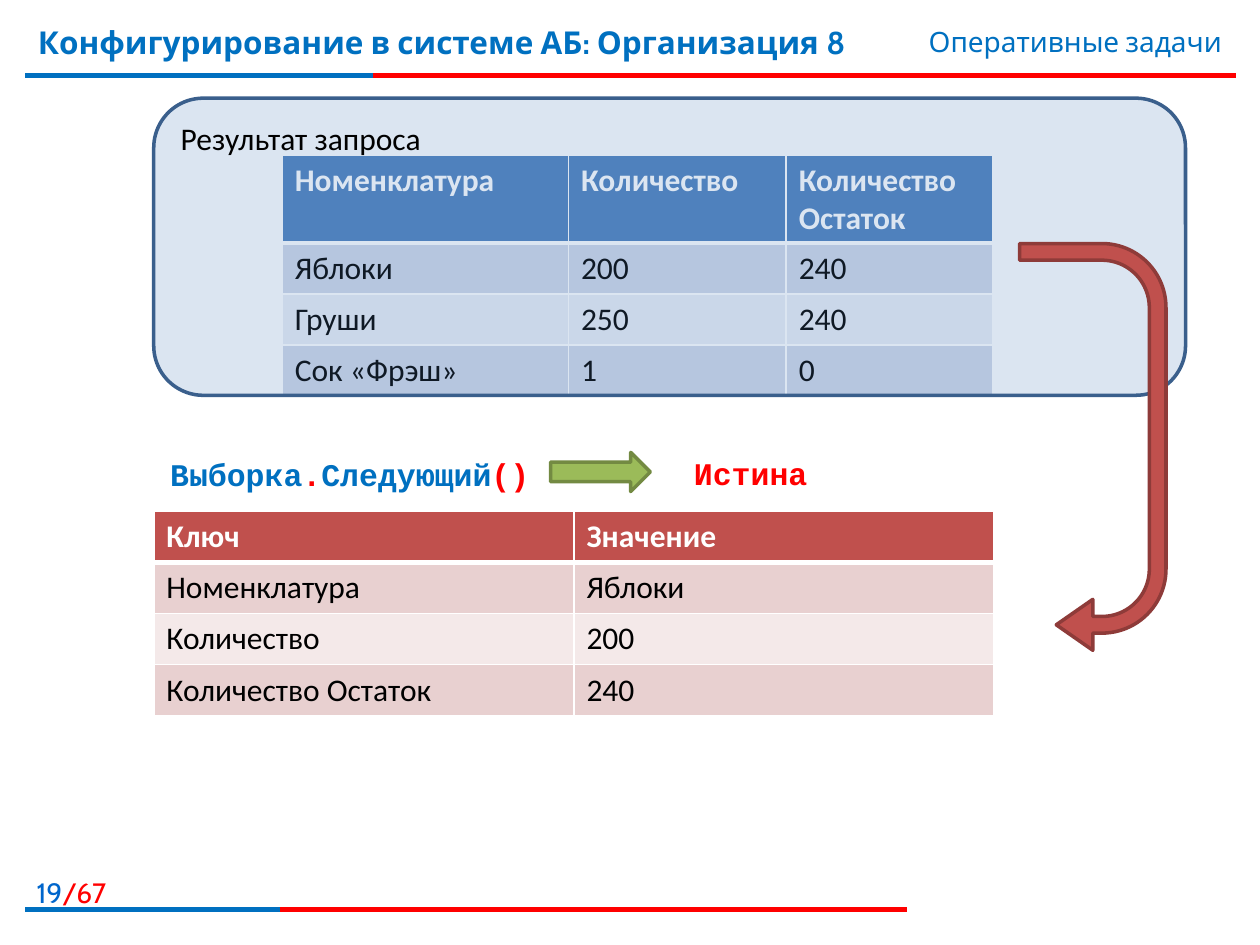
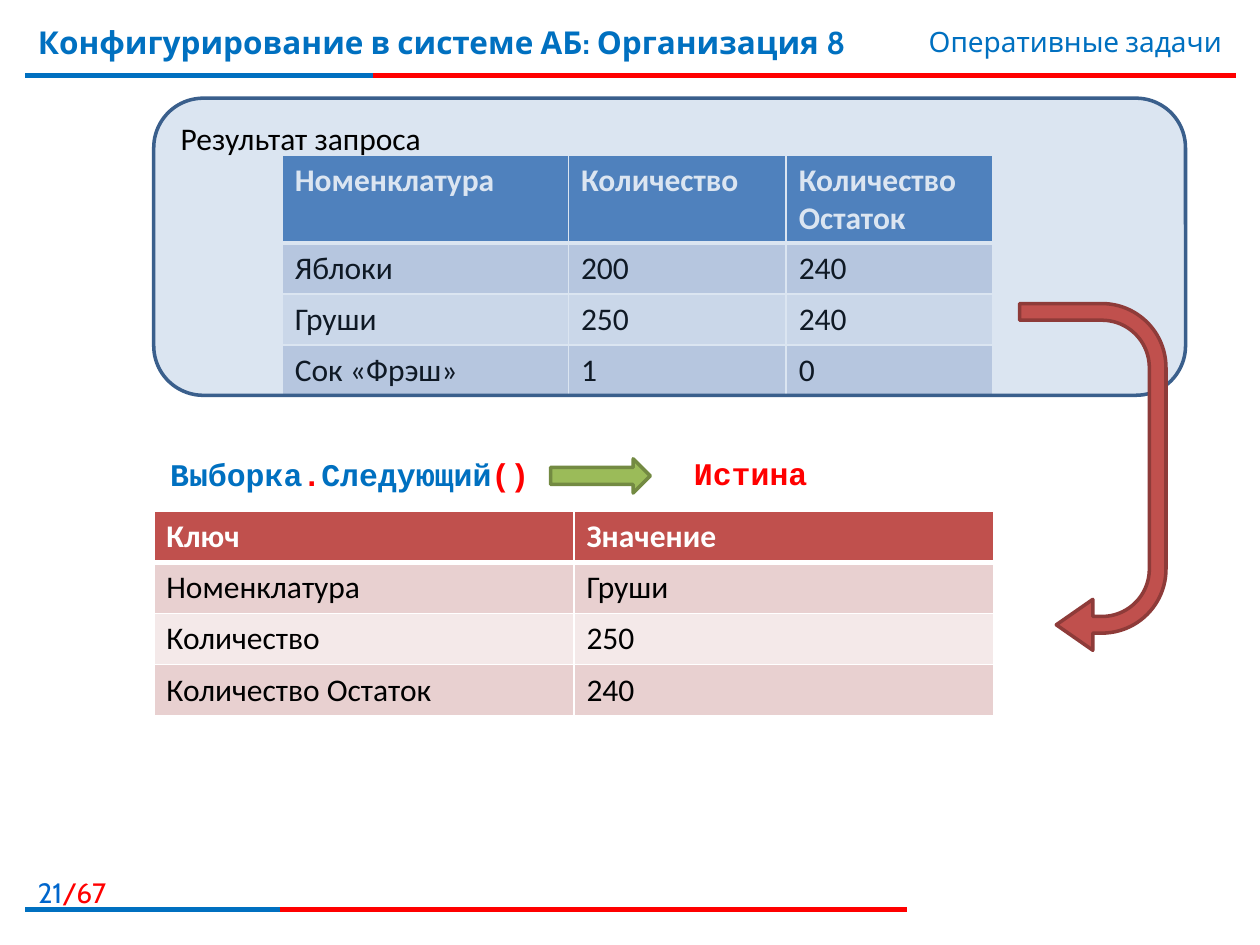
from lxml import etree
from pptx import Presentation
from pptx.dml.color import RGBColor
from pptx.enum.dml import MSO_FILL
from pptx.enum.shapes import MSO_CONNECTOR, MSO_SHAPE
from pptx.enum.text import MSO_ANCHOR, MSO_AUTO_SIZE, PP_ALIGN
from pptx.oxml.ns import qn
from pptx.util import Cm, Pt

LINE = MSO_CONNECTOR.STRAIGHT
ROUND, ARROW, TURN = (MSO_SHAPE.ROUNDED_RECTANGLE, MSO_SHAPE.RIGHT_ARROW,
                      MSO_SHAPE.U_TURN_ARROW)
LEFT, RIGHT = PP_ALIGN.LEFT, PP_ALIGN.RIGHT
TOP = MSO_ANCHOR.TOP
FIXED = MSO_AUTO_SIZE.NONE
SOLID = MSO_FILL.SOLID

WHITE = RGBColor(0xFF, 0xFF, 0xFF)
BLACK = RGBColor(0x00, 0x00, 0x00)
RED = RGBColor(0xFF, 0x00, 0x00)
BLUE = RGBColor(0x00, 0x70, 0xC0)
PAGE = RGBColor(0x00, 0x66, 0xCC)
STEEL = RGBColor(0x4F, 0x81, 0xBD)
STEEL_EDGE = RGBColor(0x3A, 0x5F, 0x8C)
BRICK = RGBColor(0xC0, 0x50, 0x4D)
BRICK_EDGE = RGBColor(0x8E, 0x3B, 0x39)
GREEN = RGBColor(0x9B, 0xBB, 0x59)
GREEN_EDGE = RGBColor(0x73, 0x8A, 0x42)
STEEL_BANDS = (RGBColor(0xD0, 0xD8, 0xE8), RGBColor(0xE9, 0xED, 0xF4))
BRICK_BANDS = (RGBColor(0xE8, 0xD0, 0xD0), RGBColor(0xF4, 0xE9, 0xE9))

HEAD, BODY, CODE = "Cabin", "Calibri", "Courier New"
TITLE = "Конфигурирование в системе АБ: Организация 8"
TOPIC = "Оперативные задачи"
TOTAL = 67
FIELDS = ("Номенклатура", "Количество", "Количество Остаток")
STOCK = (("Яблоки", "200", "240"), ("Груши", "250", "240"),
         ("Сок «Фрэш»", "1", "0"))
ROW = 1.03
TURN_MID, TURN_END, TURN_WIDE = 22.03, 13.11, 2.95


def write(frame, *runs, font=BODY, size=18, bold=False, align=LEFT):
    """Fill a text frame with one paragraph of (text, colour) runs."""
    frame.word_wrap = True
    frame.vertical_anchor = TOP
    para = frame.paragraphs[0]
    para.alignment = align
    for text, color in runs:
        run = para.add_run()
        run.text = text
        run.font.name = font
        run.font.size = Pt(size)
        run.font.bold = bold
        run.font.color.rgb = color


def border(cell, low):
    """Draw white cell borders; low is the width of the bottom one."""
    props = cell._tc.get_or_add_tcPr()
    for spot, (side, width) in enumerate(
            (("lnL", 1), ("lnR", 1), ("lnT", 1), ("lnB", low))):
        edge = etree.Element(qn("a:" + side), w=str(Pt(width)))
        fill = etree.SubElement(edge, qn("a:solidFill"))
        etree.SubElement(fill, qn("a:srgbClr"), val=str(WHITE))
        props.insert(spot, edge)


class Deck:
    def __init__(self):
        self.file = Presentation()
        self.file.slide_width = Cm(25.4)
        self.file.slide_height = Cm(19.05)
        self.slide = None

    def start(self, page):
        """Add a slide with the shared title, rules and page number."""
        self.slide = self.file.slides.add_slide(self.file.slide_layouts[5])
        title = self.slide.shapes.title
        title.left, title.top = Cm(0.51), Cm(0.33)
        title.width, title.height = Cm(18.8), Cm(1.57)
        title.text_frame.auto_size = FIXED
        write(title.text_frame, (TITLE, BLUE), font=HEAD, bold=True)
        for y, end, split in ((1.52, 24.92, 7.52), (18.34, 18.29, 5.64)):
            self.rule(y, end, RED)
            self.rule(y, split, BLUE)
        self.text(-0.25, 17.53, 2.64, 0.81, (str(page), PAGE),
                  (f"/{TOTAL}", RED), font=HEAD, size=16, align=RIGHT)
        self.text(15.09, 0.38, 9.8, 0.94, (TOPIC, BLUE),
                  font=HEAD, size=16, align=RIGHT)

    def rule(self, y, end, color):
        line = self.slide.shapes.add_connector(
            LINE, Cm(0.51), Cm(y), Cm(end), Cm(y))
        line.line.color.rgb = color
        line.line.width = Pt(3)
        etree.SubElement(line._element.spPr, qn("a:effectLst"))

    def text(self, x, y, w, h, *runs, **style):
        box = self.slide.shapes.add_textbox(Cm(x), Cm(y), Cm(w), Cm(h))
        write(box.text_frame, *runs, **style)

    def shape(self, kind, x, y, w, h, fill, edge, alpha=None):
        shape = self.slide.shapes.add_shape(kind, Cm(x), Cm(y), Cm(w), Cm(h))
        shape.shadow.inherit = False
        shape.fill.solid()
        shape.fill.fore_color.rgb = fill
        shape.line.color.rgb = edge
        shape.line.width = Pt(2)
        if alpha:
            tint = shape._element.spPr.find(qn("a:solidFill"))[0]
            etree.SubElement(tint, qn("a:alpha"), val=str(alpha * 1000))
        return shape

    def table(self, x, y, cols, rows, head, bands):
        table = self.slide.shapes.add_table(
            len(rows), len(cols), Cm(x), Cm(y), Cm(sum(cols)),
            Cm(ROW * len(rows))).table
        for col, width in zip(table.columns, cols):
            col.width = Cm(width)
        for i, row in enumerate(rows):
            table.rows[i].height = Cm(ROW)
            top = i == 0
            for j, text in enumerate(row):
                cell = table.cell(i, j)
                cell.fill.solid()
                cell.fill.fore_color.rgb = head if top else bands[(i - 1) % 2]
                border(cell, 3 if top else 1)
                write(cell.text_frame, (text, WHITE if top else BLACK),
                      bold=top)

    def turn(self, top):
        """Draw the U-turn arrow from height top down to the lower table."""
        size = TURN_END - top
        turn = self.shape(TURN, TURN_MID - size / 2,
                          (top + TURN_END - TURN_WIDE) / 2,
                          size, TURN_WIDE, BRICK, BRICK_EDGE)
        turn.rotation = 90
        for i, value in enumerate((0.114, 0.174, 0.25, 0.438, 0.75)):
            turn.adjustments[i] = value

    def step(self, page, item, top, arrow):
        """Show the query result and the row that the cursor has reached."""
        self.start(page)
        self.table(5.69, 3.12, (5.77, 4.39, 4.17), (FIELDS, *STOCK),
                   STEEL, STEEL_BANDS)
        panel = self.shape(ROUND, 3.1, 1.98, 20.8, 5.99, STEEL, STEEL_EDGE,
                           alpha=20)
        write(panel.text_frame, ("Результат запроса", BLACK))
        self.table(3.1, 10.31, (8.47, 8.47),
                   (("Ключ", "Значение"), *zip(FIELDS, item)),
                   BRICK, BRICK_BANDS)
        y, h = arrow
        self.shape(ARROW, 11.1, y, 2.01, h, GREEN, GREEN_EDGE)
        self.text(13.74, 9.02, 3.33, 1.02, ("Истина", RED),
                  font=CODE, bold=True)
        self.turn(top)
        self.text(3.18, 9.04, 7.92, 1.02, ("Выборка", BLUE), (".", RED),
                  ("Следующий", BLUE), ("()", RED), font=CODE, bold=True)


def main():
    deck = Deck()
    deck.step(19, STOCK[0], 4.91, (9.12, 0.79))
    deck.step(21, STOCK[1], 6.12, (9.25, 0.69))
    deck.file.save("out.pptx")


if __name__ == "__main__":
    main()
